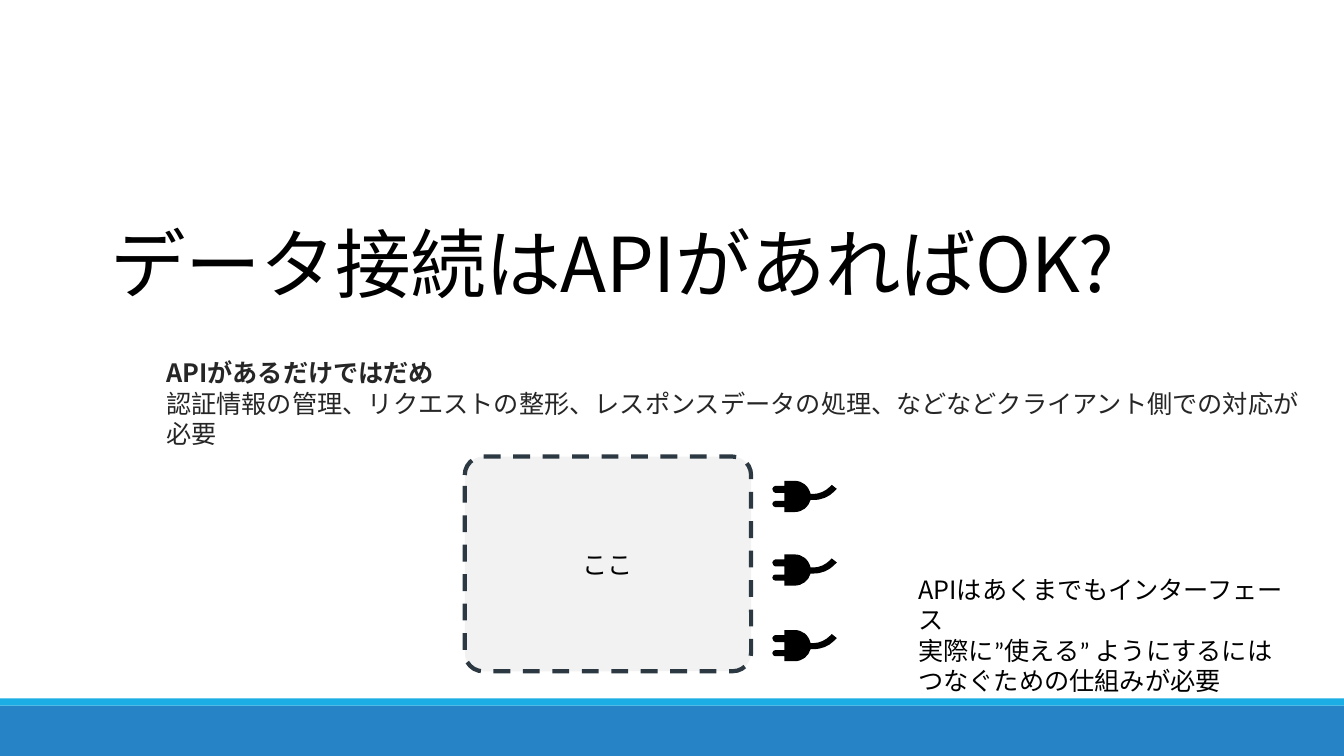
from pptx import Presentation
from pptx.dml.color import RGBColor
from pptx.enum.dml import MSO_LINE
from pptx.enum.shapes import MSO_SHAPE
from pptx.enum.text import MSO_ANCHOR, PP_ALIGN
from pptx.oxml.ns import qn
from pptx.util import Inches, Pt

RECTANGLE = MSO_SHAPE.RECTANGLE
ROUNDED = MSO_SHAPE.ROUNDED_RECTANGLE
DASH = MSO_LINE.DASH
TOP, MIDDLE, BOTTOM = MSO_ANCHOR.TOP, MSO_ANCHOR.MIDDLE, MSO_ANCHOR.BOTTOM
LEFT, CENTER = PP_ALIGN.LEFT, PP_ALIGN.CENTER
JAPANESE = "Noto Sans CJK JP"
LATIN = "Calibri"
PLUG_START = (0.03, 0.12)
PLUG_OUTLINE = [
    [(0.12, 0.12)], [(0.12, 0.2)], [(0.03, 0.2)],
    [(0.02, 0.2), (0, 0.21), (0, 0.23)],
    [(0, 0.25), (0.02, 0.26), (0.03, 0.26)],
    [(0.12, 0.26)], [(0.12, 0.31)], [(0.22, 0.31)],
    [(0.3, 0.31), (0.36, 0.26), (0.38, 0.19)],
    [(0.41, 0.19)],
    [(0.49, 0.19), (0.56, 0.16), (0.61, 0.11)],
    [(0.64, 0.08)], [(0.59, 0.04)], [(0.57, 0.06)],
    [(0.53, 0.1), (0.47, 0.13), (0.41, 0.13)],
    [(0.38, 0.13)],
    [(0.36, 0.05), (0.3, 0), (0.22, 0)],
    [(0.12, 0)], [(0.12, 0.05)], [(0.03, 0.05)],
    [(0.02, 0.05), (0, 0.07), (0, 0.08)],
    [(0, 0.1), (0.02, 0.12), (0.03, 0.12)],
]


def color(value):
    return RGBColor.from_string(value)


def write(paragraph, text, size=18, font=JAPANESE, east_asian=JAPANESE, ink="000000",
          bold=False, align=LEFT, line_spacing=None, tracking=None):
    paragraph.alignment = align
    if line_spacing:
        paragraph.line_spacing = line_spacing
    run = paragraph.add_run()
    run.text = text
    run.font.size = Pt(size)
    run.font.name = font
    run.font.bold = bold
    run.font.color.rgb = color(ink)
    properties = run.font._element
    typeface = properties.makeelement(qn("a:ea"), {"typeface": east_asian})
    properties.find(qn("a:latin")).addnext(typeface)
    if tracking:
        properties.set("spc", str(round(tracking * 100)))


def bend(shape, segments):
    lines = iter(list(shape._element.iter(qn("a:lnTo"))))
    for segment in segments:
        first = next(lines)
        if len(segment) == 3:
            curve = first.makeelement(qn("a:cubicBezTo"), {})
            first.addprevious(curve)
            for line in (first, next(lines), next(lines)):
                curve.append(line[0])
                line.getparent().remove(line)


class SlideBuilder:
    """Draws styled elements on the current slide."""

    def __init__(self, slide):
        self.shapes = slide.shapes

    def paint(self, shape, fill):
        shape.shadow.inherit = False
        shape.fill.solid()
        shape.fill.fore_color.rgb = color(fill)
        shape.line.fill.background()

    def box(self, kind, left, top, width, height, fill):
        shape = self.shapes.add_shape(kind, Inches(left), Inches(top),
                                      Inches(width), Inches(height))
        self.paint(shape, fill)
        return shape

    def dashed_box(self, left, top, width, height, text):
        shape = self.box(ROUNDED, left, top, width, height, "F2F2F2")
        shape.adjustments[0] = 0.086
        shape.line.color.rgb = color("2C3943")
        shape.line.width = Pt(3)
        shape.line.dash_style = DASH
        shape.text_frame.vertical_anchor = MIDDLE
        write(shape.text_frame.paragraphs[0], text, font=LATIN, east_asian=LATIN,
              align=CENTER)

    def text(self, left, top, width, height, lines, anchor=TOP):
        frame = self.shapes.add_textbox(Inches(left), Inches(top),
                                        Inches(width), Inches(height)).text_frame
        frame.word_wrap = True
        frame.vertical_anchor = anchor
        for index, (line, style) in enumerate(lines):
            paragraph = frame.add_paragraph() if index else frame.paragraphs[0]
            write(paragraph, line, **style)

    def plug(self, left, top):
        points = [PLUG_START] + [point for segment in PLUG_OUTLINE for point in segment]
        placed = [(Inches(left + x), Inches(top + y)) for x, y in points]
        builder = self.shapes.build_freeform(*placed[0])
        builder.add_line_segments(placed[1:], close=True)
        shape = builder.convert_to_shape()
        bend(shape, PLUG_OUTLINE)
        self.paint(shape, "000000")


def main():
    presentation = Presentation()
    presentation.slide_width = Inches(13.33)
    presentation.slide_height = Inches(7.5)
    builder = SlideBuilder(presentation.slides.add_slide(presentation.slide_layouts[6]))

    builder.box(RECTANGLE, 0, 7, 13.33, 0.5, "2683C6")
    builder.box(RECTANGLE, 0, 6.93, 13.33, 0.07, "1CADE4")
    builder.text(1, 1.17, 11.79, 1.93, [
        ("データ接続はAPIがあればOK?", {"size": 54, "line_spacing": 0.85, "tracking": -0.5}),
    ], anchor=BOTTOM)
    builder.text(1.55, 3.5, 11.44, 1.01, [
        ("APIがあるだけではだめ", {"ink": "262626", "bold": True}),
        ("認証情報の管理、リクエストの整形、レスポンスデータの処理、などなどクライアント側での対応が必要",
         {"ink": "262626"}),
    ])
    builder.dashed_box(4.61, 4.53, 2.84, 2.13, "ここ")
    for top in (4.77, 5.5, 6.25):
        builder.plug(7.66, top)
    builder.text(9.01, 5.65, 3.93, 1.01, [
        (line, {"east_asian": LATIN}) for line in (
            "APIはあくまでもインターフェース",
            "実際に”使える” ようにするには",
            "つなぐための仕組みが必要",
        )
    ])
    presentation.save("out.pptx")


if __name__ == "__main__":
    main()
